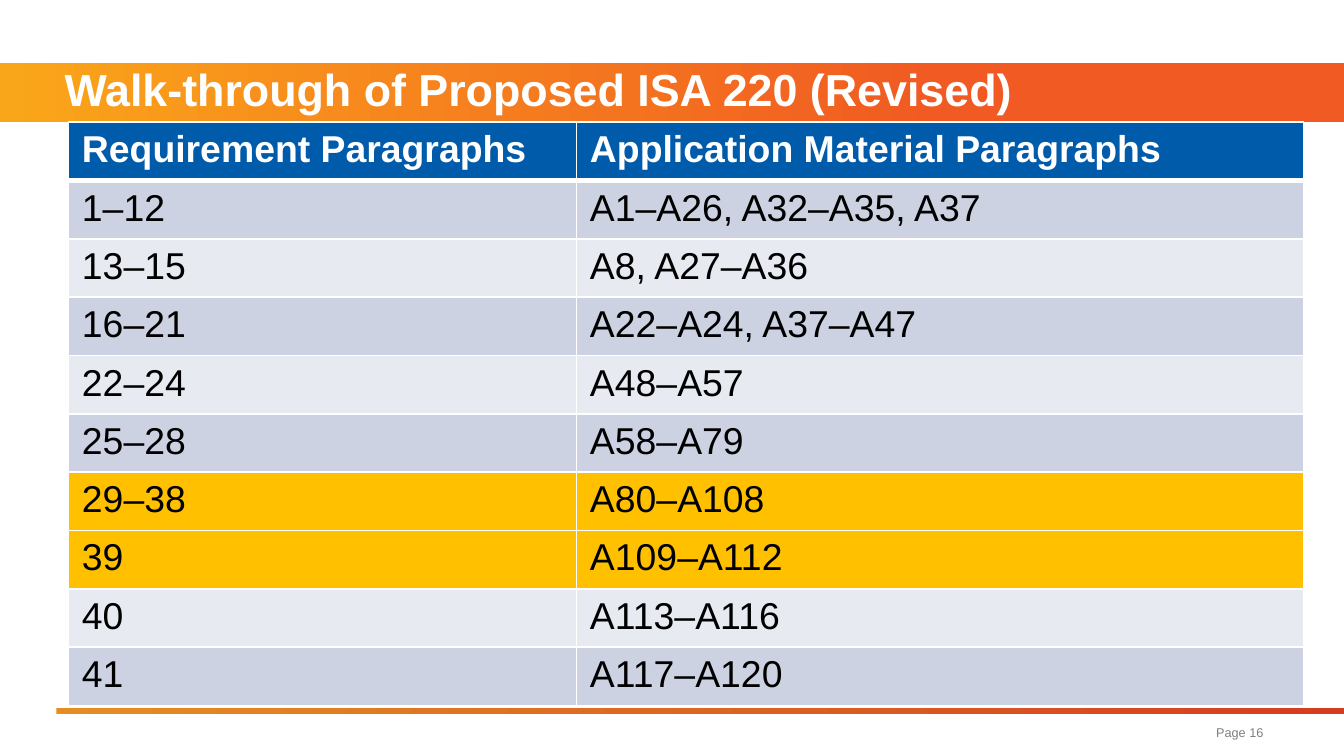
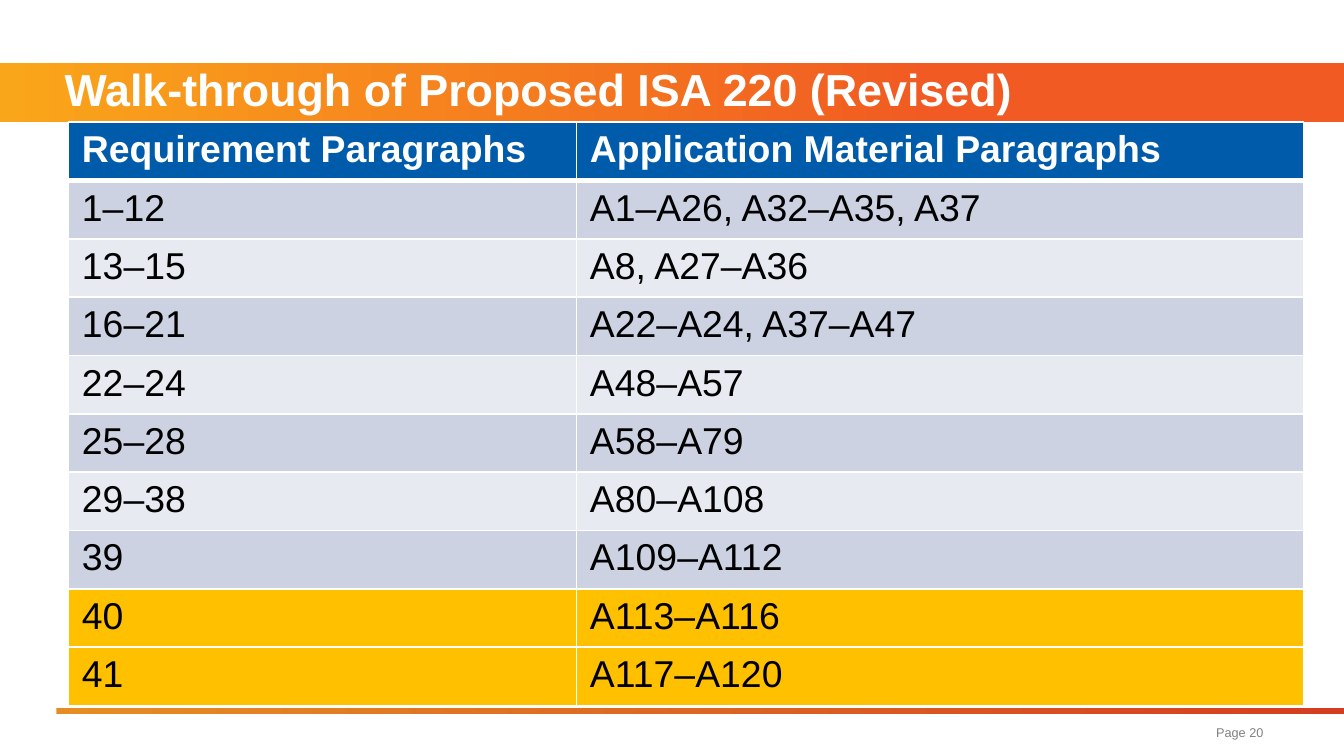
from dataclasses import dataclass

from lxml.etree import SubElement
from pptx import Presentation
from pptx.dml.color import RGBColor
from pptx.enum.shapes import MSO_SHAPE
from pptx.enum.text import MSO_ANCHOR, MSO_AUTO_SIZE, PP_ALIGN
from pptx.oxml.ns import qn
from pptx.slide import Slide
from pptx.table import _Cell as Cell
from pptx.text.text import TextFrame
from pptx.util import Inches, Pt

# Shared style
FONT = "Arial"
WHITE = RGBColor(0xFF, 0xFF, 0xFF)
BLACK = RGBColor(0x00, 0x00, 0x00)
GREY = RGBColor(0x80, 0x80, 0x80)
BLUE = RGBColor(0x00, 0x5B, 0xAA)
BAND_FILLS = (RGBColor(0xCC, 0xD2, 0xE2), RGBColor(0xE7, 0xEA, 0xF1))
HIGHLIGHT = RGBColor(0xFF, 0xC0, 0x00)
AMBER = RGBColor(0xFA, 0xA6, 0x1A)
ORANGE = RGBColor(0xF1, 0x5A, 0x22)
OCHRE = RGBColor(0xE5, 0x8D, 0x23)
RED = RGBColor(0xD5, 0x3D, 0x20)

# Widescreen 16:9
SLIDE_WIDTH = Inches(10)
SLIDE_HEIGHT = SLIDE_WIDTH * 9 // 16
TITLE_BOX = (Inches(0), Inches(0.47), SLIDE_WIDTH, Inches(0.44))
TABLE_BOX = (Inches(0.51), Inches(0.91), Inches(9.19), Inches(3.97))
COLUMN_WIDTHS = (Inches(3.78), Inches(5.41))
HEADER_HEIGHT, ROW_HEIGHT = Inches(0.28), Inches(0.41)

TITLE = "Walk-through of Proposed ISA 220 (Revised)"
PARAGRAPH_MAP = (
    ("Requirement Paragraphs", "Application Material Paragraphs"),
    ("1‒12", "A1‒A26, A32‒A35, A37"),
    ("13‒15", "A8, A27‒A36"),
    ("16‒21", "A22‒A24, A37‒A47"),
    ("22‒24", "A48‒A57"),
    ("25‒28", "A58‒A79"),
    ("29‒38", "A80‒A108"),
    ("39", "A109‒A112"),
    ("40", "A113‒A116"),
    ("41", "A117‒A120"),
)


@dataclass(frozen=True)
class GradientBand:
    box: tuple[int, int, int, int]
    start: RGBColor
    end: RGBColor
    end_position: float


@dataclass(frozen=True)
class WalkThroughPage:
    number: int
    highlighted: tuple[str, ...]


BANDS = (
    GradientBand(TITLE_BOX, AMBER, ORANGE, 0.7),
    GradientBand((Inches(0.42), Inches(5.27), Inches(9.58), Inches(0.04)), OCHRE, RED, 1),
)
PAGES = (
    WalkThroughPage(16, ("29‒38", "39")),
    WalkThroughPage(20, ("40", "41")),
)


def write_text(frame: TextFrame, text: str, size: float, color: RGBColor,
               bold: bool = False, align: PP_ALIGN = PP_ALIGN.LEFT) -> None:
    paragraph = frame.paragraphs[0]
    paragraph.alignment = align
    run = paragraph.add_run()
    run.text = text
    run.font.name = FONT
    run.font.size = Pt(size)
    run.font.bold = bold
    run.font.color.rgb = color


def add_layout_band(slide: Slide, band: GradientBand) -> None:
    """Draw a band and hand it to the layout, so every slide shows it."""
    shape = slide.shapes.add_shape(MSO_SHAPE.RECTANGLE, *band.box)
    shape.shadow.inherit = False
    shape.line.fill.background()
    shape.fill.gradient()
    shape.fill.gradient_angle = 0
    first, last = shape.fill.gradient_stops
    first.color.rgb, first.position = band.start, 0
    last.color.rgb, last.position = band.end, band.end_position
    slide.slide_layout.shapes.element.append(shape.element)


def set_title(slide: Slide) -> None:
    title = slide.shapes.title
    title.left, title.top, title.width, title.height = TITLE_BOX
    frame = title.text_frame
    frame.auto_size = MSO_AUTO_SIZE.NONE
    frame.vertical_anchor = MSO_ANCHOR.MIDDLE
    frame.margin_left = Inches(0.48)
    frame.paragraphs[0].line_spacing = Pt(24)
    write_text(frame, TITLE, 24, WHITE, bold=True)


def add_page_number(slide: Slide, number: int) -> None:
    box = slide.shapes.add_textbox(Inches(6.48), Inches(5.34), Inches(3.02), Inches(0.25))
    box.text_frame.word_wrap = True
    write_text(box.text_frame, f"Page {number}", 6.8, GREY, align=PP_ALIGN.RIGHT)


def set_borders(cell: Cell, top: float, bottom: float) -> None:
    properties = cell._tc.get_or_add_tcPr()
    for side, width in (("L", 1), ("R", 1), ("T", top), ("B", bottom)):
        line = SubElement(properties, qn(f"a:ln{side}"), w=str(Pt(width)))
        fill = SubElement(line, qn("a:solidFill"))
        SubElement(fill, qn("a:srgbClr"), val=str(WHITE))


def add_paragraph_table(slide: Slide, highlighted: tuple[str, ...]) -> None:
    table = slide.shapes.add_table(len(PARAGRAPH_MAP), len(COLUMN_WIDTHS), *TABLE_BOX).table
    for column, width in zip(table.columns, COLUMN_WIDTHS):
        column.width = width
    for index, texts in enumerate(PARAGRAPH_MAP):
        is_header = index == 0
        table.rows[index].height = HEADER_HEIGHT if is_header else ROW_HEIGHT
        if is_header:
            fill = BLUE
        elif texts[0] in highlighted:
            fill = HIGHLIGHT
        else:
            fill = BAND_FILLS[(index - 1) % 2]
        for cell, text in zip(table.rows[index].cells, texts):
            # A heavier rule separates the header from the body
            set_borders(cell, top=3 if index == 1 else 1, bottom=3 if is_header else 1)
            cell.fill.solid()
            cell.fill.fore_color.rgb = fill
            write_text(cell.text_frame, text, 20, WHITE if is_header else BLACK, is_header)


def main() -> None:
    presentation = Presentation()
    presentation.slide_width, presentation.slide_height = SLIDE_WIDTH, SLIDE_HEIGHT
    title_only = presentation.slide_layouts[5]
    slides = [presentation.slides.add_slide(title_only) for _ in PAGES]

    # Bands shared through the layout
    for band in BANDS:
        add_layout_band(slides[0], band)

    # Slide content
    for slide, page in zip(slides, PAGES):
        set_title(slide)
        add_page_number(slide, page.number)
        add_paragraph_table(slide, page.highlighted)

    presentation.save("out.pptx")


if __name__ == "__main__":
    main()
